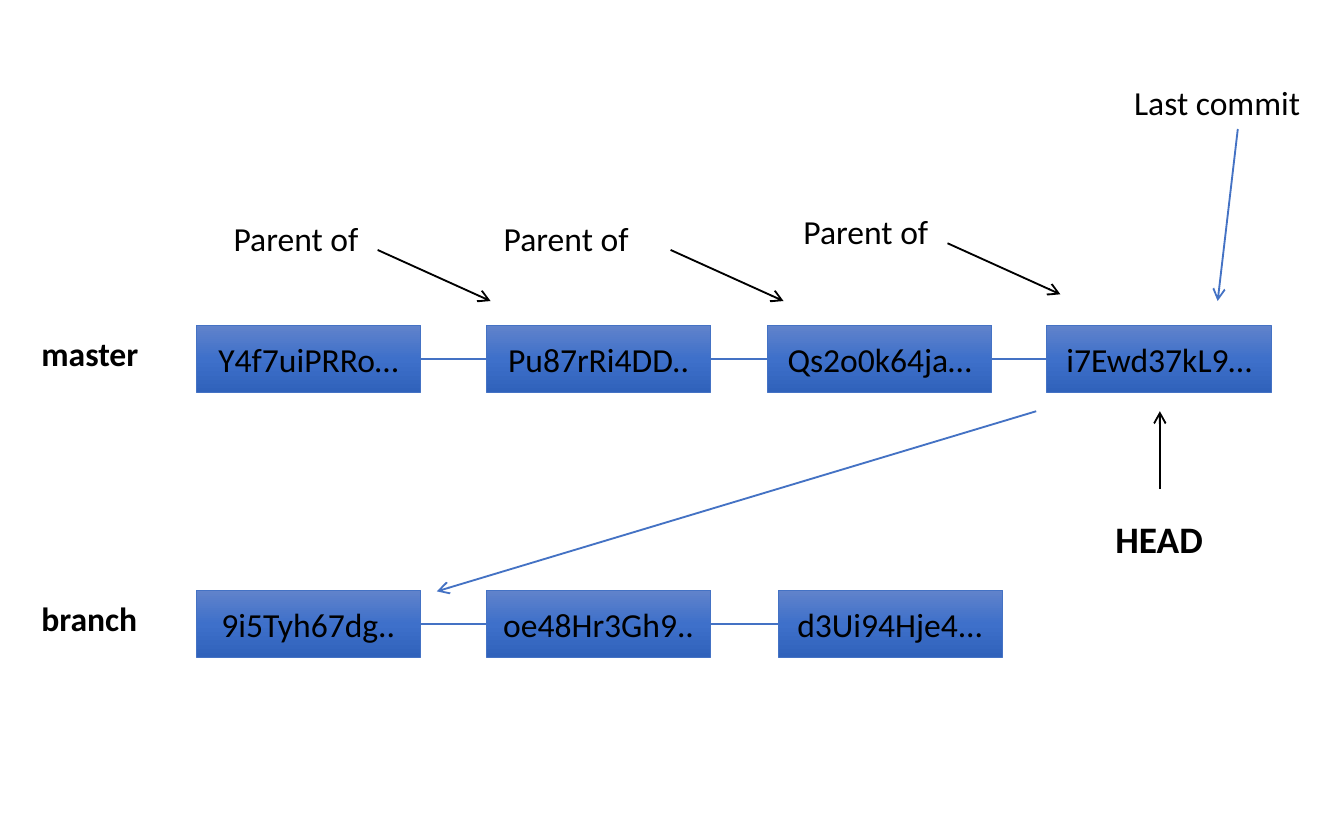
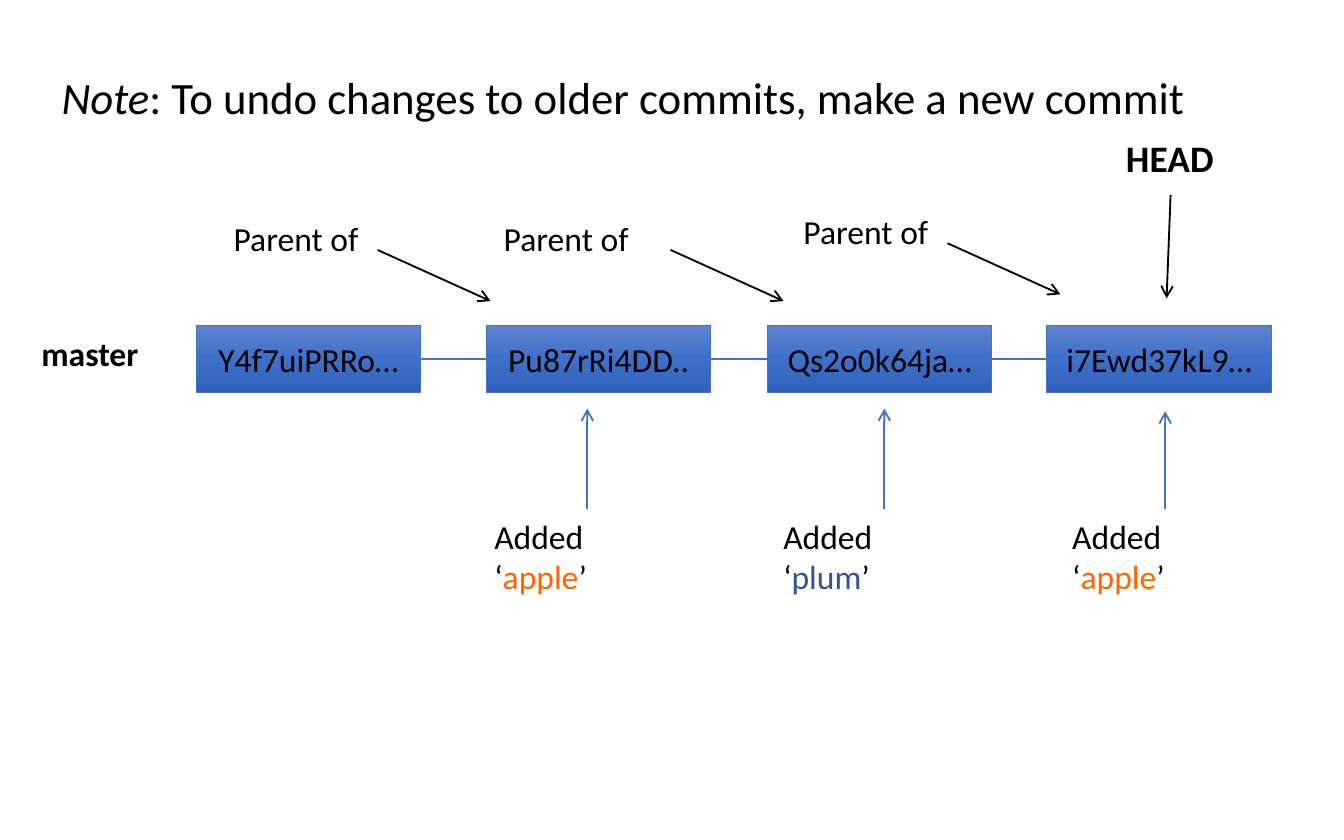
from lxml.etree import SubElement
from copy import deepcopy
from itertools import pairwise

from pptx import Presentation
from pptx.dml.color import RGBColor
from pptx.enum.shapes import MSO_CONNECTOR as CONNECTOR, MSO_SHAPE as SHAPE
from pptx.enum.text import MSO_ANCHOR as ANCHOR, PP_ALIGN as ALIGN
from pptx.oxml.ns import qn
from pptx.util import Inches, Pt

BLACK, BLUE, ORANGE, NAVY = "000000", "4472C4", "FF6600", "2F5597"
COMMIT_GRADIENT = ((0, "6183CB"), (0.5, "3E70CA"), (1, "3062BB"))
COMMIT_WIDTH, COMMIT_HEIGHT = 1.67, 0.5
MASTER_TOP, BRANCH_TOP = 2.42, 4.39

MASTER_COMMITS = (
    (1.46, "Y4f7uiPRRo…"),
    (3.62, "Pu87rRi4DD.."),
    (5.71, "Qs2o0k64ja…"),
    (7.79, "i7Ewd37kL9…"),
)
BRANCH_COMMITS = (
    (1.46, "9i5Tyh67dg.."),
    (3.62, "oe48Hr3Gh9.."),
    (5.79, "d3Ui94Hje4..."),
)
PARENT_LABELS = ((1.64, 1.57, 2.81), (3.65, 1.57, 4.99), (5.88, 1.52, 7.05))
ADDED_FRUITS = (
    (3.58, 1.6, "apple", ORANGE, 4.37, 3.04),
    (5.73, 1.56, "plum", NAVY, 6.58, 3.04),
    (7.88, 1.6, "apple", ORANGE, 8.67, 3.06),
)


def rgb(color):
    return RGBColor.from_string(color)


def write_text(paragraph, text, size=18, color=BLACK, bold=False, italic=False):
    run = paragraph.add_run()
    run.text = text
    font = run.font
    font.name = "Calibri"
    font.size = Pt(size)
    font.bold = bold
    font.italic = italic
    font.color.rgb = rgb(color)


def add_label(slide, left, top, width, height=0.4, text="", **text_format):
    box = slide.shapes.add_textbox(
        Inches(left), Inches(top), Inches(width), Inches(height)
    )
    box.text_frame.word_wrap = False
    paragraph = box.text_frame.paragraphs[0]
    if text:
        write_text(paragraph, text, **text_format)
    return paragraph


def add_line(slide, start, end, color=BLUE, arrow=False):
    connector = slide.shapes.add_connector(
        CONNECTOR.STRAIGHT, *(Inches(length) for length in (*start, *end))
    )
    connector.line.color.rgb = rgb(color)
    connector.line.width = Pt(1)
    if arrow:
        SubElement(connector.line._get_or_add_ln(), qn("a:tailEnd"), type="arrow")
    SubElement(connector._element.spPr, qn("a:effectLst"))


def fill_gradient(shape, stops, angle):
    fill = shape.fill
    fill.gradient()
    fill.gradient_angle = angle
    stop_list = shape._element.spPr.find(".//" + qn("a:gsLst"))
    stop_list.append(deepcopy(stop_list[0]))
    for stop, (position, color) in zip(fill.gradient_stops, stops):
        stop.position = position
        stop.color.rgb = rgb(color)


def add_commit(slide, left, top, name):
    shape = slide.shapes.add_shape(
        SHAPE.RECTANGLE,
        Inches(left),
        Inches(top),
        Inches(COMMIT_WIDTH),
        Inches(COMMIT_HEIGHT),
    )
    shape.shadow.inherit = False
    fill_gradient(shape, COMMIT_GRADIENT, 270)
    shape.line.color.rgb = rgb(BLUE)
    shape.line.width = Pt(0.5)
    shape.text_frame.vertical_anchor = ANCHOR.MIDDLE
    paragraph = shape.text_frame.paragraphs[0]
    paragraph.alignment = ALIGN.CENTER
    write_text(paragraph, name)


def add_history(slide, label, top, commits):
    add_label(slide, 0.21, top + 0.01, 0.93, text=label, bold=True)
    for left, name in commits:
        add_commit(slide, left, top, name)
    middle = top + COMMIT_HEIGHT / 2
    for (left, _), (next_left, _) in pairwise(commits):
        add_line(slide, (left + COMMIT_WIDTH, middle), (next_left, middle))


def add_master(slide):
    add_history(slide, "master", MASTER_TOP, MASTER_COMMITS)
    for left, top, arrow_left in PARENT_LABELS:
        add_label(slide, left, top, 1.14, text="Parent of")
        start = (arrow_left, top + 0.29)
        end = (arrow_left + 0.84, top + 0.67)
        add_line(slide, start, end, color=BLACK, arrow=True)


def add_head(slide, left, top, start, end):
    add_label(slide, left, top, 0.86, 0.44, text="HEAD", size=20, bold=True)
    add_line(slide, start, end, color=BLACK, arrow=True)


def add_added_fruit(slide, left, width, fruit, color, arrow_left, arrow_top):
    paragraph = add_label(slide, left, 3.79, width)
    write_text(paragraph, "Added ‘")
    write_text(paragraph, fruit, color=color)
    write_text(paragraph, "’")
    add_line(slide, (arrow_left, 3.79), (arrow_left, arrow_top), arrow=True)


def build_branch_slide(slide):
    add_master(slide)
    add_head(slide, 8.2, 3.79, (8.63, 3.64), (8.63, 3.06))
    add_label(slide, 8.34, 0.56, 1.45, text="Last commit")
    add_line(slide, (9.21, 0.96), (9.06, 2.24), arrow=True)
    add_history(slide, "branch", BRANCH_TOP, BRANCH_COMMITS)
    add_line(slide, (7.71, 3.06), (3.25, 4.4), arrow=True)


def build_undo_slide(slide):
    add_master(slide)
    add_head(slide, 8.28, 0.96, (8.71, 1.45), (8.68, 2.22))
    note = add_label(slide, 0.36, 0.47, 8.63, 0.5)
    write_text(note, "Note", size=24, italic=True)
    write_text(note, ": To undo changes to older commits, make a new commit", size=24)
    for added_fruit in ADDED_FRUITS:
        add_added_fruit(slide, *added_fruit)


def main():
    presentation = Presentation()
    presentation.slide_width = Inches(10)
    presentation.slide_height = Inches(6.25)
    blank_layout = presentation.slide_layouts[6]
    for build_slide in (build_branch_slide, build_undo_slide):
        build_slide(presentation.slides.add_slide(blank_layout))
    presentation.save("out.pptx")


if __name__ == "__main__":
    main()
